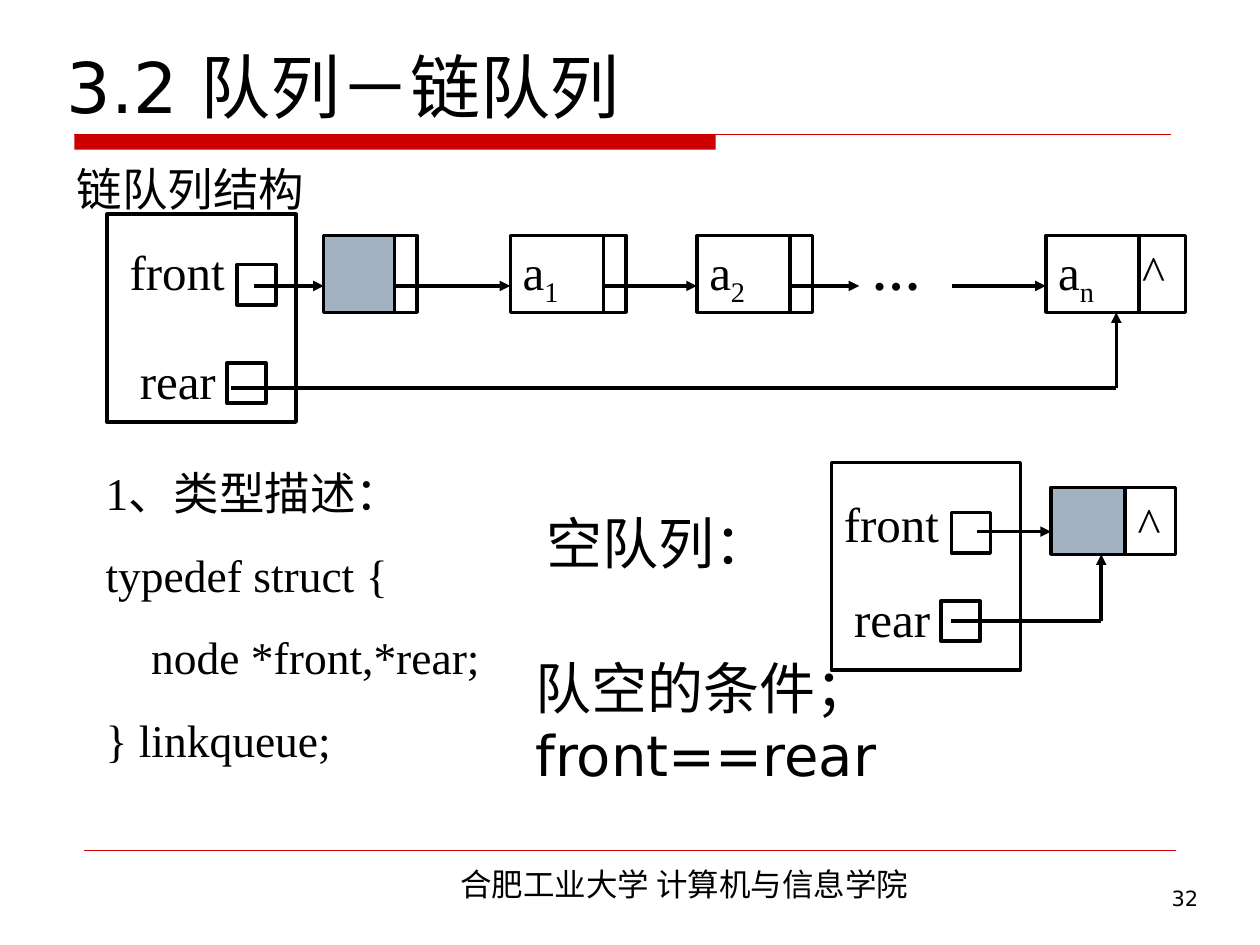
from pptx import Presentation
from pptx.dml.color import RGBColor
from pptx.enum.shapes import MSO_CONNECTOR, MSO_SHAPE
from pptx.enum.text import MSO_ANCHOR, PP_ALIGN
from pptx.oxml.ns import qn
from pptx.util import Pt
from lxml.etree import SubElement

COLORS = {"ink": "000000", "red": "CC0000", "header": "A3B2C1", "paper": "FFFFFF"}
SERIF, SANS, CJK = "Times New Roman", "DejaVu Sans", "Noto Sans CJK SC"


def rgb(name):
    return RGBColor.from_string(COLORS[name])


class QueueSlide:
    """Holds the slide and draws each kind of element, in points."""

    def __init__(self, slide):
        self.slide = slide
        slide.background.fill.solid()
        slide.background.fill.fore_color.rgb = rgb("paper")

    def add_run(self, paragraph, text, size, font=SERIF, bold=False, subscript=False):
        run = paragraph.add_run()
        run.text = text
        run.font.size = Pt(size)
        run.font.name = font
        run.font.bold = bold
        run.font.color.rgb = rgb("ink")
        properties = run.font._element
        SubElement(properties, qn("a:ea")).set("typeface", CJK)
        if subscript:
            properties.set("baseline", "-25000")

    def title(self, text, left, top, width, height):
        heading = self.slide.shapes.title
        heading.left, heading.top = Pt(left), Pt(top)
        heading.width, heading.height = Pt(width), Pt(height)
        heading.text_frame.vertical_anchor = MSO_ANCHOR.BOTTOM
        paragraph = heading.text_frame.paragraphs[0]
        paragraph.alignment = PP_ALIGN.LEFT
        self.add_run(paragraph, text, 40, SANS)

    def text(self, lines, left, top, width, height, size=28, font=SERIF, bold=False,
             align=PP_ALIGN.LEFT, anchor=MSO_ANCHOR.TOP, spacing=None, before=0):
        frame = self.slide.shapes.add_textbox(
            Pt(left), Pt(top), Pt(width), Pt(height)).text_frame
        frame.word_wrap = True
        frame.vertical_anchor = anchor
        for index, line in enumerate(lines):
            paragraph = frame.add_paragraph() if index else frame.paragraphs[0]
            paragraph.alignment = align
            if spacing:
                paragraph.line_spacing = spacing
            if index:
                paragraph.space_before = Pt(before)
            self.add_run(paragraph, line, size, font, bold)

    def box(self, left, top, width, height, fill=None, outlined=True):
        cell = self.slide.shapes.add_shape(
            MSO_SHAPE.RECTANGLE, Pt(left), Pt(top), Pt(width), Pt(height))
        cell.shadow.inherit = False
        if fill:
            cell.fill.solid()
            cell.fill.fore_color.rgb = rgb(fill)
        else:
            cell.fill.background()
        if outlined:
            cell.line.color.rgb = rgb("ink")
            cell.line.width = Pt(2)
        else:
            cell.line.fill.background()
        frame = cell.text_frame
        frame.word_wrap = True
        frame.vertical_anchor = MSO_ANCHOR.TOP
        frame.paragraphs[0].alignment = PP_ALIGN.LEFT
        return frame.paragraphs[0]

    def line(self, x1, y1, x2, y2, color="ink", width=2, arrow=False):
        link = self.slide.shapes.add_connector(
            MSO_CONNECTOR.STRAIGHT, Pt(x1), Pt(y1), Pt(x2), Pt(y2))
        link.line.color.rgb = rgb(color)
        link.line.width = Pt(width)
        if arrow:
            SubElement(link.line._get_or_add_ln(), qn("a:tailEnd")).set("type", "triangle")
        SubElement(link._element.spPr, qn("a:effectLst"))

    def node(self, subscript, left, top, width, height, divider, tail=None):
        """Draw an element cell a_i with its pointer field, and the field's text if any."""
        content = self.box(left, top, width, height)
        if tail:
            tabs = SubElement(content._p.get_or_add_pPr(), qn("a:tabLst"))
            stop = SubElement(tabs, qn("a:tab"))
            stop.set("pos", str(Pt(48)))
            stop.set("algn", "l")
        self.add_run(content, "a", 28)
        self.add_run(content, subscript, 28, subscript=True)
        if tail:
            self.add_run(content, "\t" + tail, 28)
        self.line(left + divider, top, left + divider, top + height)

    def queue_record(self, left, top, inset, front_top, rear_top):
        """Draw the frame holding the front and rear pointers."""
        self.box(left, top, 108, 118.8)
        self.text(["front"], left + inset, top + front_top, 77, 40)
        self.box(left + inset + 68.4, top + 28.8, 22.3, 23)
        self.text(["rear"], left + inset + 5.8, top + rear_top, 68, 40)
        self.box(left + inset + 62.6, top + rear_top + 10.8, 22.3, 23)

    def rear_link(self, start, level, end, target):
        """Run from the rear pointer sideways, then up to the last node."""
        self.line(start, level, end, level)
        self.line(end, level, end, target, arrow=True)


def draw_frame(page):
    page.box(42.5, 77, 366.5, 8.6, fill="red", outlined=False)
    page.line(42.5, 77, 668.9, 77, "red", 0.75)
    page.line(48.2, 486, 671.8, 486, "red", 0.25)
    page.text(["合肥工业大学 计算机与信息学院"], 172.8, 491, 436.3, 28.8, 18, CJK,
              align=PP_ALIGN.CENTER)
    page.text(["32"], 535.7, 502.6, 156.2, 37.4, 12, SANS, align=PP_ALIGN.RIGHT)
    page.title("3.2 队列－链队列", 31, 15.1, 648, 61.2)
    page.text(["链队列结构"], 36.7, 88.6, 176.4, 59, 26)


def draw_linked_queue(page):
    top, height, divider, link = 134.6, 43.9, 53.3, 163.4
    first, step = 291.6, 106.6
    last = first + 306
    page.queue_record(61.2, 122.4, 5.8, 12.2, 74.2)
    page.box(185, top, 40.4, height, "header")
    page.box(225.4, top, 12.9, height)
    for index in range(2):
        page.node(str(index + 1), first + index * step, top, 66.2, height, divider)
    page.text(["…"], 491, top, 66.2, height, bold=True)
    page.node("n", last, top, 79.9, height, divider, tail="^")
    second = first + step
    for start, end in ((145.4, 185), (225.4, first), (first + divider, second),
                       (second + divider, 491), (544.3, last)):
        page.line(start, link, end, link, arrow=True)
    page.rear_link(131.8, 221.8, 637.9, top + height)


def draw_empty_queue(page):
    top, height = 278.6, 38.2
    page.text(["空队列："], 305.3, 287.3, 159.1, 38.9, 32)
    page.queue_record(475.2, 264.2, 0, 14.4, 68.4)
    page.box(600.5, top, 42.5, height, "header")
    page.add_run(page.box(643, top, 28.8, height), "^", 28)
    page.line(558, 303.8, 600.5, 303.8, arrow=True)
    page.rear_link(543.6, 355, 629.3, top + height)
    page.text(["队空的条件；front==rear"], 298.8, 388.8, 388.1, 46.1, 32, SANS,
              anchor=MSO_ANCHOR.MIDDLE)


def draw_type_description(page):
    page.text(["1、类型描述：", "typedef struct {", "    node *front,*rear;", "} linkqueue;"],
              53.3, 252.7, 261.4, 217.4, 26, spacing=1.3, before=6.5)


def main():
    deck = Presentation()
    deck.slide_width, deck.slide_height = Pt(720), Pt(540)
    page = QueueSlide(deck.slides.add_slide(deck.slide_layouts[5]))
    draw_frame(page)
    draw_linked_queue(page)
    draw_empty_queue(page)
    draw_type_description(page)
    deck.save("out.pptx")


if __name__ == "__main__":
    main()
